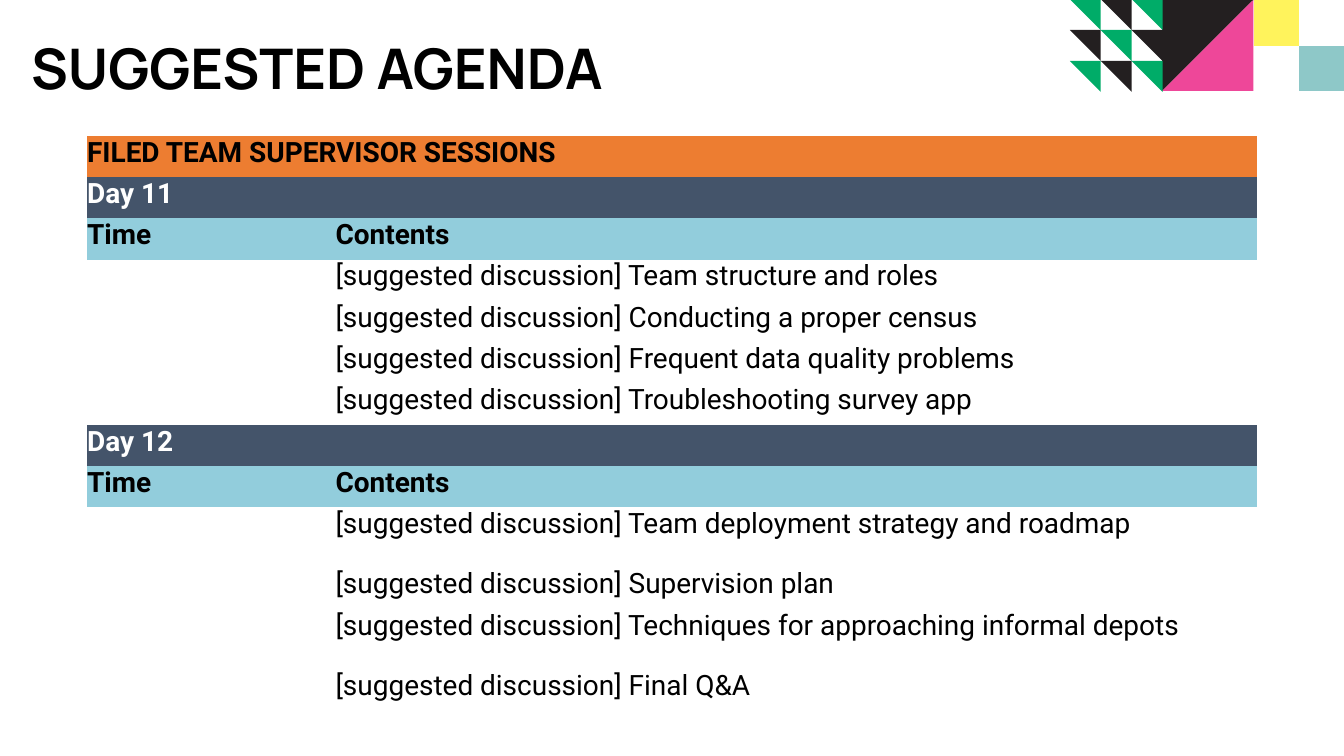
from pptx import Presentation
from pptx.dml.color import RGBColor
from pptx.enum import text
from pptx.util import Pt

GREEN, BLACK, PINK, YELLOW, TEAL = "00AC68", "231F20", "EE4799", "FFF35C", "8EC8C8"
ORANGE, NAVY, SKY = "ED7D31", "44546A", "92CDDC"


def paint(fill, colour):
    fill.solid()
    fill.fore_color.rgb = RGBColor.from_string(colour)


def polygon(points, colour):
    corners = [(Pt(x), Pt(y)) for x, y in points]
    builder = slide.shapes.build_freeform(*corners[0], scale=1.0)
    builder.add_line_segments(corners[1:], close=True)
    outline = builder.convert_to_shape()
    outline.shadow.inherit = False
    outline.line.fill.background()
    paint(outline.fill, colour)


deck = Presentation()
deck.slide_width, deck.slide_height = Pt(1920.24), Pt(1080)
slide = deck.slides.add_slide(deck.slide_layouts[5])

# Corner decoration: two squares, then a large square split on its diagonal
for left, top, right, bottom, colour in [
    (1792, 0.7, 1855.4, 65.5, YELLOW),
    (1855.4, 65.5, 1920, 129.6, TEAL),
]:
    polygon([(left, top), (right, top), (right, bottom), (left, bottom)], colour)
polygon([(1660.3, 0), (1660.3, 130), (1790.6, 0)], BLACK)
polygon([(1660.3, 130), (1790.6, 130), (1790.6, 0)], PINK)

# Three by three grid of alternating triangles
STEP = 44.2
for row in range(3):
    for column in range(3):
        left, top = 1528.4 + column * STEP, -1.4 + row * STEP
        right, bottom = left + STEP, top + STEP
        colour = BLACK if (row + column) % 2 else GREEN
        polygon([(left, top), (right, top), (right, bottom)], colour)

# Title
title = slide.shapes.title
title.left, title.top, title.width, title.height = Pt(37.4), Pt(27.4), Pt(979.2), Pt(121.7)
title.text_frame.text = "SUGGESTED AGENDA"
title.text_frame.word_wrap = True
title.text_frame.auto_size = text.MSO_AUTO_SIZE.NONE
title.text_frame.vertical_anchor = text.MSO_ANCHOR.BOTTOM
heading = title.text_frame.paragraphs[0]
heading.alignment = text.PP_ALIGN.LEFT
heading.line_spacing = 0.9
heading.font.name, heading.font.size, heading.font.bold = "Manrope", Pt(80), True
heading.font.color.rgb = RGBColor.from_string("000000")

# Agenda rows: time, contents, fill, text colour, height
SHORT, TALL = 59.04, 85.7
days = [
    ("Day 11", [
        ("Team structure and roles", SHORT),
        ("Conducting a proper census", SHORT),
        ("Frequent data quality problems", SHORT),
        ("Troubleshooting survey app", SHORT),
    ]),
    ("Day 12", [
        ("Team deployment strategy and roadmap", TALL),
        ("Supervision plan", SHORT),
        ("Techniques for approaching informal depots", TALL),
        ("Final Q&A", TALL),
    ]),
]
rows = [("FILED TEAM SUPERVISOR SESSIONS", "", ORANGE, "000000", SHORT)]
for day, topics in days:
    rows.append((day, "", NAVY, "FFFFFF", SHORT))
    rows.append(("Time", "Contents", SKY, "000000", SHORT))
    for topic, height in topics:
        rows.append(("", f"[suggested discussion] {topic}", None, "000000", height))

# Agenda table, in the plain style without grid lines
total = sum(row[-1] for row in rows)
frame = slide.shapes.add_table(len(rows), 2, Pt(123.84), Pt(193.7), Pt(1671.84), Pt(total))
agenda = frame.table
agenda.first_row = agenda.horz_banding = False
agenda._tbl.tblPr[0].text = "{2D5ABB26-0587-4C30-8999-92F81FD0307C}"
agenda.columns[0].width, agenda.columns[1].width = Pt(354.96), Pt(1316.88)
for index, (time, contents, fill, colour, height) in enumerate(rows):
    agenda.rows[index].height = Pt(height)
    for cell, words in zip(agenda.rows[index].cells, (time, contents)):
        cell.margin_left = cell.margin_right = cell.margin_top = Pt(0.7)
        cell.margin_bottom = 0
        if fill:
            paint(cell.fill, fill)
        else:
            cell.fill.background()
        cell.text_frame.text = words
        font = cell.text_frame.paragraphs[0].font
        font.name, font.size, font.bold = "Roboto", Pt(40), bool(fill)
        font.color.rgb = RGBColor.from_string(colour)
agenda.cell(0, 0).merge(agenda.cell(0, 1))

deck.save("out.pptx")
